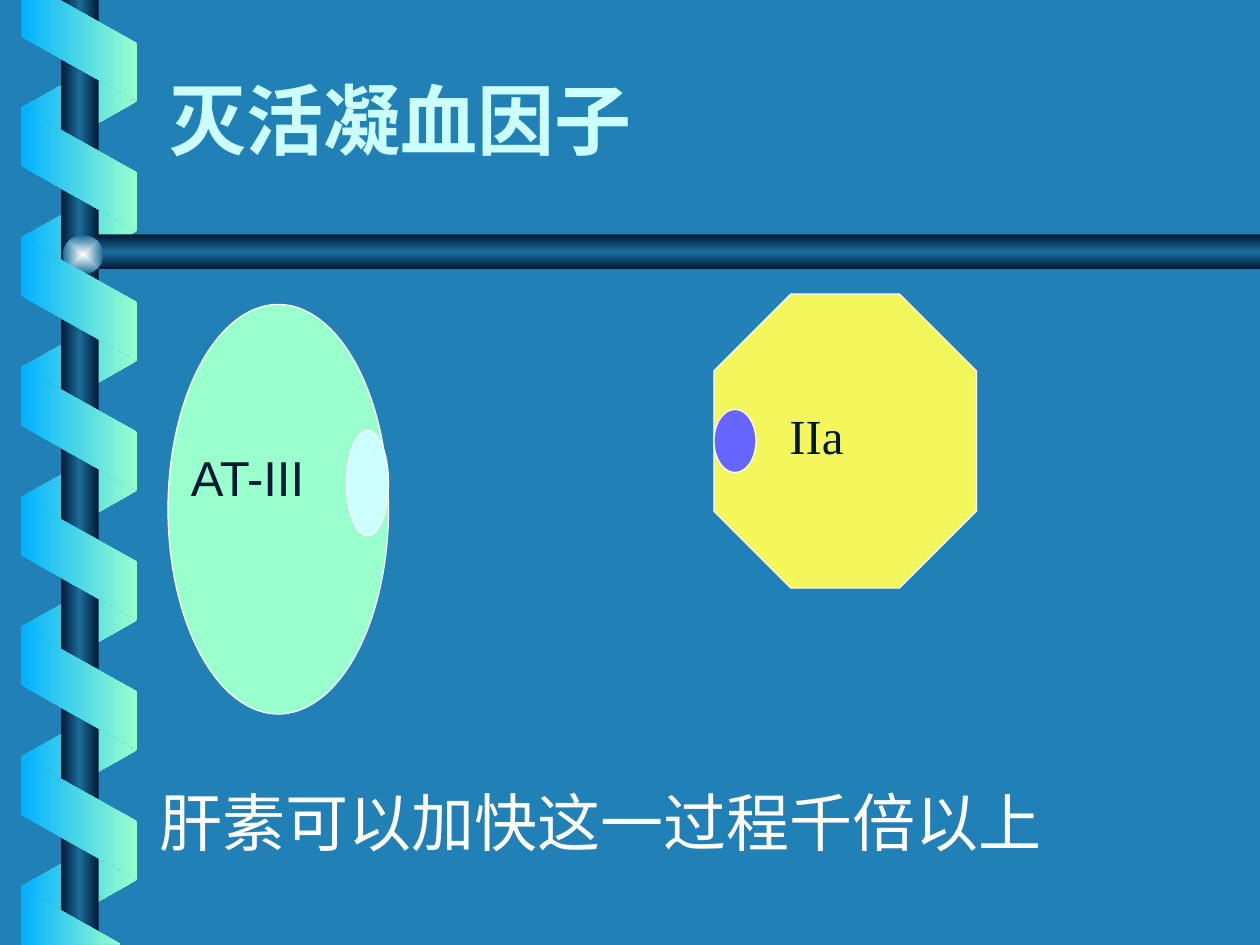
from lxml import etree
from pptx import Presentation
from pptx.dml.color import RGBColor as Rgb
from pptx.enum.shapes import MSO_SHAPE as Shape
from pptx.enum.text import MSO_ANCHOR as Anchor
from pptx.oxml import parse_xml
from pptx.oxml.ns import nsdecls, qn
from pptx.util import Pt

COLORS = {
    "background": "2181B7",
    "blue": "01B0FF",
    "mint": "99FFCC",
    "navy": "001932",
    "steel": "1C6D9A",
    "pearl": "FEFFFF",
    "ice": "CCFFFF",
    "yellow": "F3F75B",
    "violet": "6666FF",
    "white": "FFFFFF",
}
BLUE_TO_MINT = ["blue", "mint"]
METAL = ["navy", "steel", "navy"]
ACROSS = '<a:lin ang="0" scaled="1"/>'
DOWN = '<a:lin ang="5400000" scaled="1"/>'
FROM_CENTER = ('<a:path path="rect"><a:fillToRect l="50000" t="50000" '
               'r="50000" b="50000"/></a:path>')
TURN_PITCH = 74.15


class SlideBuilder:
    def __init__(self, deck):
        self.slide = deck.slides.add_slide(deck.slide_layouts[6])
        fill = self.slide.background.fill
        fill.solid()
        fill.fore_color.rgb = self.color("background")

    def color(self, name):
        return Rgb.from_string(COLORS[name])

    def gradient(self, shape, names, direction):
        """Fill with evenly spaced stops that do not turn with the shape."""
        last = len(names) - 1
        stops = "".join(
            f'<a:gs pos="{100000 * index // last}">'
            f'<a:srgbClr val="{COLORS[name]}"/></a:gs>'
            for index, name in enumerate(names))
        shape.fill.background()
        properties = shape.element.spPr
        old_fill = properties.find(qn("a:noFill"))
        properties.replace(old_fill, parse_xml(
            f'<a:gradFill {nsdecls("a")} rotWithShape="0">'
            f"<a:gsLst>{stops}</a:gsLst>{direction}</a:gradFill>"))
        shape.line.fill.background()
        shape.shadow.inherit = False

    def preset(self, kind, left, top, width, height):
        shape = self.slide.shapes.add_shape(
            kind, Pt(left), Pt(top), Pt(width), Pt(height))
        shape.shadow.inherit = False
        return shape

    def outlined(self, kind, left, top, width, height, fill):
        shape = self.preset(kind, left, top, width, height)
        shape.fill.solid()
        shape.fill.fore_color.rgb = self.color(fill)
        shape.line.color.rgb = self.color("white")
        shape.line.width = Pt(0.75)
        return shape

    def metal(self, kind, left, top, width, height, names, direction):
        shape = self.preset(kind, left, top, width, height)
        self.gradient(shape, names, direction)

    def band(self, top, front):
        """Add one slanted half turn of the ribbon."""
        shape = self.preset(Shape.PARALLELOGRAM, 10, top, 70.5, 66.5)
        shape.adjustments[0] = 0.56
        shape.rotation = 270 if front else 90
        if not front:
            shape.element.spPr.find(qn("a:xfrm")).set("flipH", "1")
        names = BLUE_TO_MINT if front else BLUE_TO_MINT[::-1]
        self.gradient(shape, names, ACROSS)

    def outline(self, points, names, direction):
        corners = [(Pt(x), Pt(y)) for x, y in points]
        builder = self.slide.shapes.build_freeform(*corners[0], scale=1.0)
        builder.add_line_segments(corners[1:], close=True)
        self.gradient(builder.convert_to_shape(), names, direction)

    def text(self, words, left, top, width, height, size, font, color,
             bold=False, wrap=True, anchor=Anchor.TOP):
        box = self.slide.shapes.add_textbox(
            Pt(left), Pt(top), Pt(width), Pt(height))
        frame = box.text_frame
        frame.word_wrap = wrap
        frame.vertical_anchor = anchor
        para = frame.paragraphs[0]
        para.text = words
        para.font.size = Pt(size)
        para.font.name = font
        para.font.bold = bold
        para.font.color.rgb = self.color(color)


def draw_helix(page):
    for turn in range(7):
        page.band(26.5 + turn * TURN_PITCH, front=False)
    page.metal(Shape.RECTANGLE, 34.8, 0, 21.6, 540, METAL, ACROSS)
    page.outline([(720, 134), (55, 134), (43, 144), (55, 154), (720, 154)],
                 METAL, DOWN)
    page.metal(Shape.OVAL, 36, 134.5, 23, 22, ["pearl", "steel"], FROM_CENTER)
    for turn in range(6):
        page.band(63.5 + turn * TURN_PITCH, front=True)
    page.outline([(12.2, 0), (12.2, 21), (78.5, 58), (78.5, 25), (34, 0)],
                 BLUE_TO_MINT, ACROSS)
    page.outline([(69, 539.5), (12.2, 507.5), (12.2, 540)],
                 BLUE_TO_MINT, ACROSS)


def main():
    deck = Presentation()
    deck.slide_width, deck.slide_height = Pt(720), Pt(540)
    page = SlideBuilder(deck)
    draw_helix(page)
    page.text("灭活凝血因子", 90, 11.5, 612, 113, 44, "Montserrat", "ice",
              bold=True, anchor=Anchor.MIDDLE)

    page.outlined(Shape.OVAL, 96, 174, 126, 234, "mint")
    page.outlined(Shape.OVAL, 198, 246, 24, 60, "ice")
    page.text("AT-III", 102, 252, 96, 41, 28, "Arial", "navy")

    factor = page.outlined(Shape.OCTAGON, 408, 168, 150, 168, "yellow")
    factor.adjustments[0] = 0.293
    page.outlined(Shape.OVAL, 408, 234, 24, 36, "violet")
    page.text("IIa", 444, 228, 96, 41, 28, "Times New Roman", "navy")

    page.text("肝素可以加快这一过程千倍以上", 84, 444, 518.5, 50.5, 36,
              "Arial", "white", wrap=False)
    deck.save("out.pptx")


if __name__ == "__main__":
    main()
